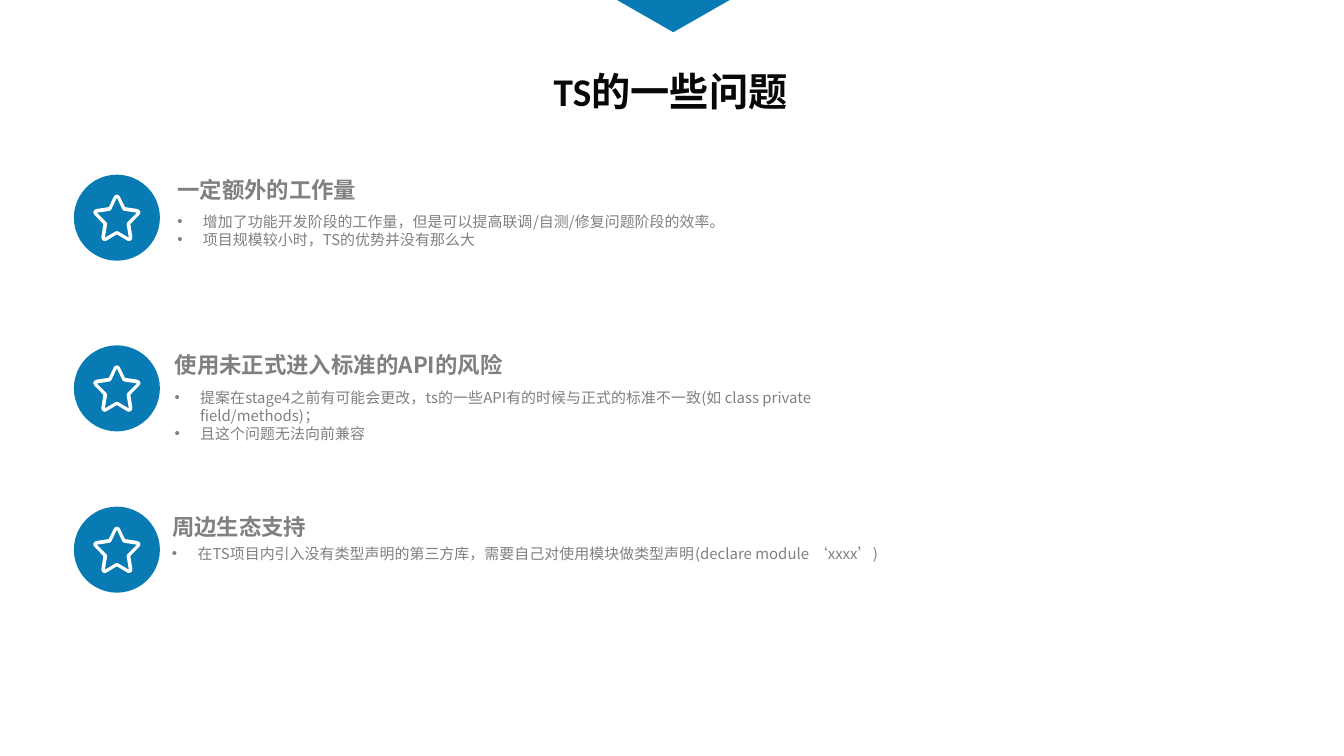
from lxml import etree
from pptx import Presentation
from pptx.dml.color import RGBColor
from pptx.enum.shapes import MSO_SHAPE
from pptx.enum.text import MSO_AUTO_SIZE, PP_ALIGN
from pptx.oxml.ns import qn
from pptx.util import Inches, Pt

OVAL = MSO_SHAPE.OVAL
CENTER, LEFT = PP_ALIGN.CENTER, PP_ALIGN.LEFT
NO_FIT = MSO_AUTO_SIZE.NONE

SLIDE_WIDTH = 10
SLIDE_HEIGHT = SLIDE_WIDTH * 9 / 16

TITLE = "TS的一些问题"
# Boxes are left, top, width, height in inches.
ISSUES = [
    {
        "badge_top": 1.3,
        "heading": "一定额外的工作量",
        "heading_box": (1.25, 1.27, 3.86, 0.54),
        "points": [
            "增加了功能开发阶段的工作量，但是可以提高联调/自测/修复问题阶段的效率。",
            "项目规模较小时，TS的优势并没有那么大",
        ],
        "points_box": (1.25, 1.54, 5.53, 0.4),
    },
    {
        "badge_top": 2.57,
        "heading": "使用未正式进入标准的API的风险",
        "heading_box": (1.23, 2.57, 2.79, 0.4),
        "points": [
            "提案在stage4之前有可能会更改，ts的一些API有的时候与正式的标准不一致"
            "(如 class private field/methods)；",
            "且这个问题无法向前兼容",
        ],
        "points_box": (1.23, 2.85, 5.74, 0.34),
    },
    {
        "badge_top": 3.77,
        "heading": "周边生态支持",
        "heading_box": (1.21, 3.78, 2.88, 0.46),
        "points": [
            "在TS项目内引入没有类型声明的第三方库，需要自己对使用模块做类型声明"
            "(declare module ‘xxxx’)",
        ],
        "points_box": (1.21, 4.01, 5.9, 0.21),
    },
]

THEME = {
    "accent": RGBColor(0x08, 0x7A, 0xB4),
    "icon": RGBColor(0xFF, 0xFF, 0xFF),
    "title": {"font": "Calibri", "size": 21, "bold": True, "align": CENTER,
              "color": RGBColor(0x08, 0x08, 0x08)},
    "heading": {"font": "Noto Sans CJK SC", "size": 12, "bold": True, "align": LEFT,
                "color": RGBColor(0x80, 0x80, 0x80)},
    "point": {"font": "Noto Sans CJK SC", "size": 8, "bold": False, "align": LEFT,
              "color": RGBColor(0x80, 0x80, 0x80)},
}

TITLE_BOX = (3.41, 0.45, 3.16, 0.45)
TITLE_INSETS = (0.1, 0.05)
BODY_INSETS = (0.07, 0.04)
BULLET_INDENT = 0.19
POINTER = [(4.59, 0), (5.43, 0), (5.01, 0.24)]
BADGE_LEFT, BADGE_SIZE = 0.55, 0.64

# Right halves of the star outlines, in hundredths of an inch from the badge centre.
STAR_OUTER = [(0, -17.2), (1.2, -16.8), (2.1, -16), (6, -7.9), (15, -6.5),
              (16.6, -5.8), (17.4, -4.6), (17.4, -3.4), (16.7, -2.2), (10, 4.7),
              (11.5, 14.2), (11.3, 15.8), (10.3, 17), (9, 17.4), (7.9, 17.1), (0, 12.4)]
STAR_INNER = [(0, -14.9), (4, -6.4), (4.6, -5.6), (5.6, -5.1), (14.9, -3.7),
              (8, 3.2), (7.4, 4.1), (7.3, 5.2), (8.9, 14.9), (1, 10.2), (0, 10)]


def paint(shape, color):
    shape.fill.solid()
    shape.fill.fore_color.rgb = color
    shape.line.fill.background()
    shape.shadow.inherit = False


def add_outline(slide, contours, color):
    """Draw closed contours, given in inches, as one filled freeform."""
    contours = [[(Inches(x), Inches(y)) for x, y in contour] for contour in contours]
    builder = slide.shapes.build_freeform(*contours[0][0])
    for index, contour in enumerate(contours):
        if index:
            builder.move_to(*contour[0])
        builder.add_line_segments(contour[1:], close=True)
    paint(builder.convert_to_shape(), color)


def add_badge(slide, top):
    circle = slide.shapes.add_shape(
        OVAL, *map(Inches, (BADGE_LEFT, top, BADGE_SIZE, BADGE_SIZE)))
    paint(circle, THEME["accent"])
    center_x, center_y = BADGE_LEFT + BADGE_SIZE / 2, top + BADGE_SIZE / 2
    contours = []
    for half in (STAR_OUTER, STAR_INNER):
        mirrored = [(-x, y) for x, y in reversed(half[1:-1])]
        contours.append([(center_x + x / 100, center_y + y / 100)
                         for x, y in half + mirrored])
    add_outline(slide, contours, THEME["icon"])


def add_bullet(paragraph):
    properties = paragraph._p.get_or_add_pPr()
    indent = Inches(BULLET_INDENT)
    for key, value in {"marL": indent, "indent": -indent}.items():
        properties.set(key, str(value))
    etree.SubElement(properties, qn("a:buFont")).set("typeface", "Arial")
    etree.SubElement(properties, qn("a:buChar")).set("char", "•")


def add_text(slide, box, lines, style, insets, bulleted=False):
    frame = slide.shapes.add_textbox(*map(Inches, box)).text_frame
    across, down = map(Inches, insets)
    settings = {"word_wrap": True, "auto_size": NO_FIT,
                "margin_left": across, "margin_right": across,
                "margin_top": down, "margin_bottom": down}
    for key, value in settings.items():
        setattr(frame, key, value)
    for index, line in enumerate(lines):
        paragraph = frame.add_paragraph() if index else frame.paragraphs[0]
        paragraph.alignment = style["align"]
        if bulleted:
            add_bullet(paragraph)
        run = paragraph.add_run()
        run.text = line
        font_values = {"name": style["font"], "size": Pt(style["size"]),
                       "bold": style["bold"]}
        for key, value in font_values.items():
            setattr(run.font, key, value)
        run.font.color.rgb = style["color"]
        east_asian = etree.SubElement(run._r.get_or_add_rPr(), qn("a:ea"))
        east_asian.set("typeface", style["font"])


def main():
    deck = Presentation()
    deck.slide_width, deck.slide_height = Inches(SLIDE_WIDTH), Inches(SLIDE_HEIGHT)
    slide = deck.slides.add_slide(deck.slide_layouts[6])

    for issue in ISSUES:
        add_badge(slide, issue["badge_top"])
        add_text(slide, issue["heading_box"], [issue["heading"]],
                 THEME["heading"], BODY_INSETS)
        add_text(slide, issue["points_box"], issue["points"],
                 THEME["point"], BODY_INSETS, bulleted=True)
    add_text(slide, TITLE_BOX, [TITLE], THEME["title"], TITLE_INSETS)
    add_outline(slide, [POINTER], THEME["accent"])
    deck.save("out.pptx")


if __name__ == "__main__":
    main()
